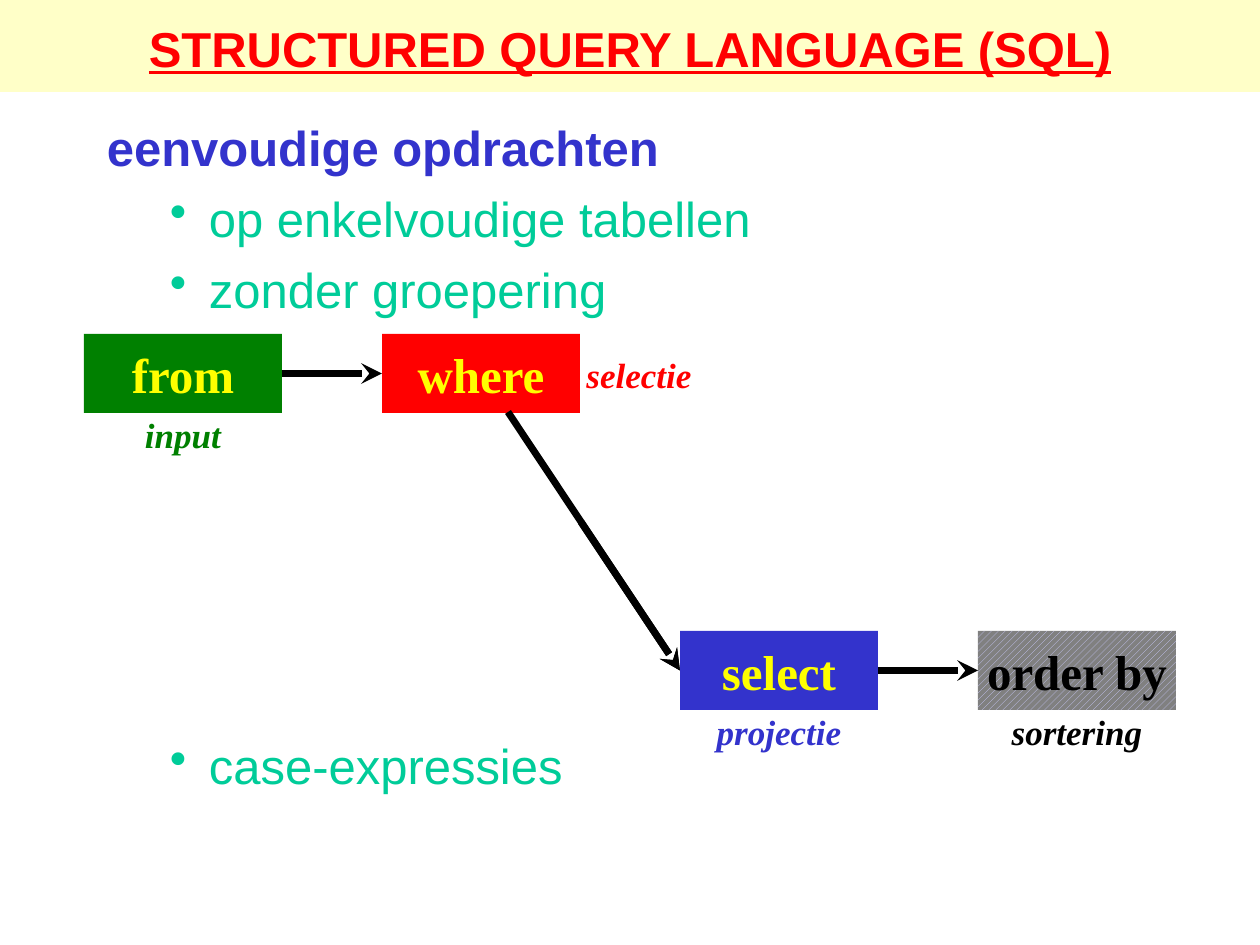
from lxml import etree
from pptx import Presentation
from pptx.dml.color import RGBColor
from pptx.enum.dml import MSO_PATTERN
from pptx.enum.shapes import MSO_CONNECTOR, MSO_SHAPE
from pptx.enum.text import MSO_ANCHOR, PP_ALIGN
from pptx.oxml.ns import qn
from pptx.util import Emu, Pt

RECTANGLE = MSO_SHAPE.RECTANGLE
STRAIGHT = MSO_CONNECTOR.STRAIGHT
DIAGONAL = MSO_PATTERN.WIDE_UPWARD_DIAGONAL
TOP, MIDDLE = MSO_ANCHOR.TOP, MSO_ANCHOR.MIDDLE
LEFT, CENTER = PP_ALIGN.LEFT, PP_ALIGN.CENTER
LEFT_SIDE, RIGHT_SIDE = 1, 3

RED, BLUE, GREEN, TEAL = "FF0000", "3333CC", "008000", "00CC99"
YELLOW, CREAM, BLACK = "FFFF00", "FFFFC8", "000000"
GREY, LILAC = "808080", "CCCCFF"
SANS, SERIF = "Arial", "Times New Roman"

BOX_W, BOX_H, LABEL_H = 198, 79, 44
COLUMNS = [84 + 298 * i for i in range(4)]
UPPER, LOWER = 334, 631
BODY_X, BODY_W = 107, 1097


def px(length):
    return Emu(round(length * 914400 / 126))


def color(value):
    return RGBColor.from_string(value)


class Deck:
    def __init__(self):
        self.prs = Presentation()
        self.prs.slide_width, self.prs.slide_height = px(1260), px(945)
        self.slide = self.prs.slides.add_slide(self.prs.slide_layouts[6])

    def add_text(self, paragraph, text, size, font, ink, align=CENTER,
                 bold=True, italic=False, underline=False):
        paragraph.alignment = align
        run = paragraph.add_run()
        run.text = text
        run.font.size, run.font.name = Pt(size), font
        run.font.color.rgb = color(ink)
        run.font.bold, run.font.italic = bold, italic
        run.font.underline = underline

    def frame(self, shape, anchor, wrap):
        frame = shape.text_frame
        frame.margin_left = frame.margin_right = 0
        frame.margin_top = frame.margin_bottom = 0
        frame.vertical_anchor, frame.word_wrap = anchor, wrap
        return frame

    def text_box(self, x, y, w, h, anchor=TOP, wrap=True):
        box = self.slide.shapes.add_textbox(px(x), px(y), px(w), px(h))
        return self.frame(box, anchor, wrap)

    def rect(self, x, y, w, h, fill, stripe=None):
        shape = self.slide.shapes.add_shape(RECTANGLE, px(x), px(y), px(w), px(h))
        shape.shadow.inherit = False
        shape.line.fill.background()
        if stripe:
            shape.fill.patterned()
            shape.fill.pattern = DIAGONAL
            shape.fill.fore_color.rgb = color(stripe)
            shape.fill.back_color.rgb = color(fill)
        else:
            shape.fill.solid()
            shape.fill.fore_color.rgb = color(fill)
        return shape

    def clause(self, x, y, keyword, fill, ink=YELLOW, stripe=None):
        shape = self.rect(x, y, BOX_W, BOX_H, fill, stripe)
        frame = self.frame(shape, MIDDLE, False)
        self.add_text(frame.paragraphs[0], keyword, 28, SERIF, ink)
        return shape

    def label(self, x, y, text, ink):
        frame = self.text_box(x, y, BOX_W, LABEL_H, wrap=False)
        self.add_text(frame.paragraphs[0], text, 20, SERIF, ink, italic=True)

    def bullet(self, paragraph, text):
        self.add_text(paragraph, text, 28, SANS, TEAL, LEFT, bold=False)
        paragraph.space_after = Pt(7)
        props = paragraph._p.get_or_add_pPr()
        props.set("marL", str(px(102)))
        props.set("indent", str(-px(39)))
        etree.SubElement(props, qn("a:buChar")).set("char", "•")

    def arrow(self, target, source=None, start=(0, 0)):
        line = self.slide.shapes.add_connector(
            STRAIGHT, px(start[0]), px(start[1]), target.left, target.top)
        if source is not None:
            line.begin_connect(source, RIGHT_SIDE)
        line.end_connect(target, LEFT_SIDE)
        line.line.width = Pt(4)
        line.line.color.rgb = color(BLACK)
        etree.SubElement(line.line._get_or_add_ln(), qn("a:tailEnd")).set("type", "stealth")
        etree.SubElement(line._element.spPr, qn("a:effectLst"))


def main():
    deck = Deck()

    deck.rect(0, 0, 1260, 92, CREAM)
    title = deck.text_box(0, 0, 1260, 95, MIDDLE)
    deck.add_text(title.paragraphs[0], "STRUCTURED QUERY LANGUAGE (SQL)",
                  28, SANS, RED, underline=True)

    body = deck.text_box(BODY_X, 117, BODY_W, 206)
    heading = body.paragraphs[0]
    deck.add_text(heading, "eenvoudige opdrachten", 28, SANS, BLUE, LEFT)
    heading.space_after = Pt(7)
    for topic in ("op enkelvoudige tabellen", "zonder groepering"):
        deck.bullet(body.add_paragraph(), topic)
    closing = deck.text_box(BODY_X, 735, BODY_W, 69)
    deck.bullet(closing.paragraphs[0], "case-expressies")

    from_x, where_x, select_x, order_x = COLUMNS
    from_box = deck.clause(from_x, UPPER, "from", GREEN)
    where_box = deck.clause(where_x, UPPER, "where", RED)
    select_box = deck.clause(select_x, LOWER, "select", BLUE)
    order_box = deck.clause(order_x, LOWER, "order by", GREY, BLACK, LILAC)

    deck.label(from_x, UPPER + BOX_H, "input", GREEN)
    deck.label(select_x, LOWER + BOX_H, "projectie", BLUE)
    deck.label(order_x, LOWER + BOX_H, "sortering", BLACK)
    deck.label(540, 353, "selectie", RED)

    deck.arrow(where_box, from_box)
    deck.arrow(order_box, select_box)
    for start in ((508, 412), (581, 522)):
        deck.arrow(select_box, start=start)

    deck.prs.save("out.pptx")


if __name__ == "__main__":
    main()
